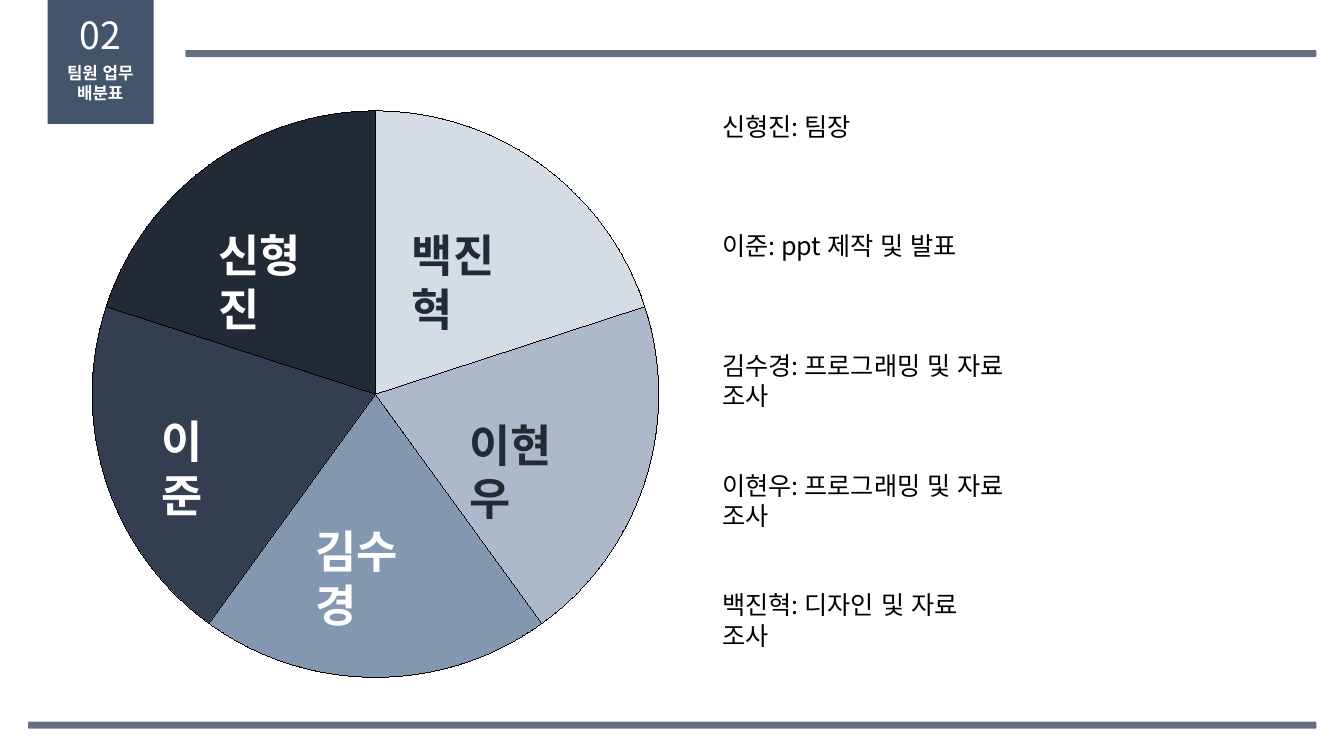
from math import cos, radians, sin, tan

from lxml.etree import SubElement
from pptx import Presentation
from pptx.dml.color import RGBColor
from pptx.enum.lang import MSO_LANGUAGE_ID
from pptx.enum.shapes import MSO_SHAPE
from pptx.enum.text import MSO_ANCHOR, MSO_AUTO_SIZE, PP_ALIGN
from pptx.oxml.ns import qn
from pptx.util import Inches, Pt

FONT = "Noto Sans CJK KR"
NAVY, DARK, WHITE, BLACK = "44546A", "222A35", "FFFFFF", "000000"
COLS, ROWS = 80, 45


def tint(code):
    return RGBColor.from_string(code)


def write(frame, text, size=18, color=BLACK, bold=False, align=PP_ALIGN.LEFT):
    frame.word_wrap = True
    frame.auto_size = MSO_AUTO_SIZE.NONE
    frame.vertical_anchor = MSO_ANCHOR.TOP
    frame.text = text
    for para in frame.paragraphs:
        para.alignment = align
        for run in para.runs:
            font = run.font
            font.name, font.size, font.bold = FONT, Pt(size), bold
            font.language_id = MSO_LANGUAGE_ID.KOREAN
            font.color.rgb = tint(color)
            east = SubElement(font._element, qn("a:ea"))
            east.set("typeface", FONT)


class Deck:
    def __init__(self):
        self.file = Presentation()
        self.file.slide_width = Inches(13.333)
        self.file.slide_height = Inches(7.5)
        self.cell = self.file.slide_width / COLS
        self.row = self.file.slide_height / ROWS
        self.slide = self.file.slides.add_slide(self.file.slide_layouts[5])
        self.shapes = self.slide.shapes

    def area(self, left, top, width, height):
        return (round(left * self.cell), round(top * self.row),
                round(width * self.cell), round(height * self.row))

    def paint(self, shape, color):
        shape.shadow.inherit = False
        shape.fill.solid()
        shape.fill.fore_color.rgb = tint(color)

    def block(self, kind, box, color, alpha=100):
        shape = self.shapes.add_shape(kind, *self.area(*box))
        self.paint(shape, color)
        shape.line.fill.background()
        if alpha < 100:
            tone = shape.fill._xPr.find(qn("a:solidFill"))[0]
            SubElement(tone, qn("a:alpha")).set("val", str(alpha * 1000))

    def title(self, box, text, **style):
        title = self.shapes.title
        title.left, title.top, title.width, title.height = self.area(*box)
        write(title.text_frame, text, **style)
        self.shapes._spTree.append(title._element)

    def label(self, box, text, shapes=None, **style):
        home = shapes or self.shapes
        write(home.add_textbox(*self.area(*box)).text_frame, text, **style)

    def wedge(self, hub, radius, start, sweep, color, shapes):
        def point(angle, pull=0):
            turn = radians(angle)
            x = hub[0] + radius * (cos(turn) - pull * sin(turn))
            y = hub[1] + radius * (sin(turn) + pull * cos(turn))
            return round(x * self.cell), round(y * self.row)

        end = start + sweep
        pull = 4 / 3 * tan(radians(sweep / 4))
        core = round(hub[0] * self.cell), round(hub[1] * self.row)
        path = shapes.build_freeform(*core)
        path.add_line_segments([point(start), point(start, pull),
                                point(end, -pull), point(end), core])
        shape = path.convert_to_shape()
        steps = list(shape._element.iter(qn("a:lnTo")))
        curve = steps[1]
        curve.tag = qn("a:cubicBezTo")
        for step in steps[2:4]:
            curve.append(step[0])
            step.getparent().remove(step)
        self.paint(shape, color)
        shape.line.color.rgb = tint(BLACK)
        shape.line._get_or_add_ln().set("w", "0")


def main():
    deck = Deck()
    mid = PP_ALIGN.CENTER
    for box in ((1.68, 42.96, 76.68, 0.42), (11.04, 2.98, 67.32, 0.42)):
        deck.block(MSO_SHAPE.ROUNDED_RECTANGLE, box, NAVY, alpha=83)
    deck.block(MSO_SHAPE.RECTANGLE, (2.84, -1.44, 6.3, 8.82), NAVY)
    deck.label((0.3, 0.45, 11.34, 3.3), "02", size=26.7, color=WHITE, align=mid)
    deck.title((0.3, 3.42, 11.34, 3), "팀원 업무\n배분표",
               size=12, color=WHITE, bold=True, align=mid)

    team = [
        ("신형진", DARK, WHITE, 12.42, 13.26, 8.34),
        ("이준", "333F50", WHITE, 9.04, 24.36, 5.94),
        ("김수경", "8497B0", WHITE, 18.18, 30.9, 8.34),
        ("이현우", "ADB9CA", DARK, 27.36, 24.54, 8.34),
        ("백진혁", "D6DCE5", DARK, 23.92, 13.26, 8.34),
    ]
    sweep = 360 / len(team)
    for i, (name, fill, ink, left, top, width) in enumerate(team):
        group = deck.shapes.add_group_shape().shapes
        start = -90 - sweep * i
        deck.wedge((22.35, 23.46), 16.86, start, -sweep, fill, group)
        deck.label((left, top, width, 3.84), name, group,
                   size=32, color=ink, bold=True)

    roles = [
        ("신형진: 팀장", 8.94),
        ("이준: ppt 제작 및 발표", 15.6),
        ("김수경: 프로그래밍 및 자료 조사", 21.12),
        ("이현우: 프로그래밍 및 자료 조사", 21.12),
        ("백진혁: 디자인 및 자료 조사", 18.36),
    ]
    for i, (role, width) in enumerate(roles):
        deck.label((42.4, 6.32 + 7.12 * i, width, 2.4), role)
    deck.file.save("out.pptx")


if __name__ == "__main__":
    main()
